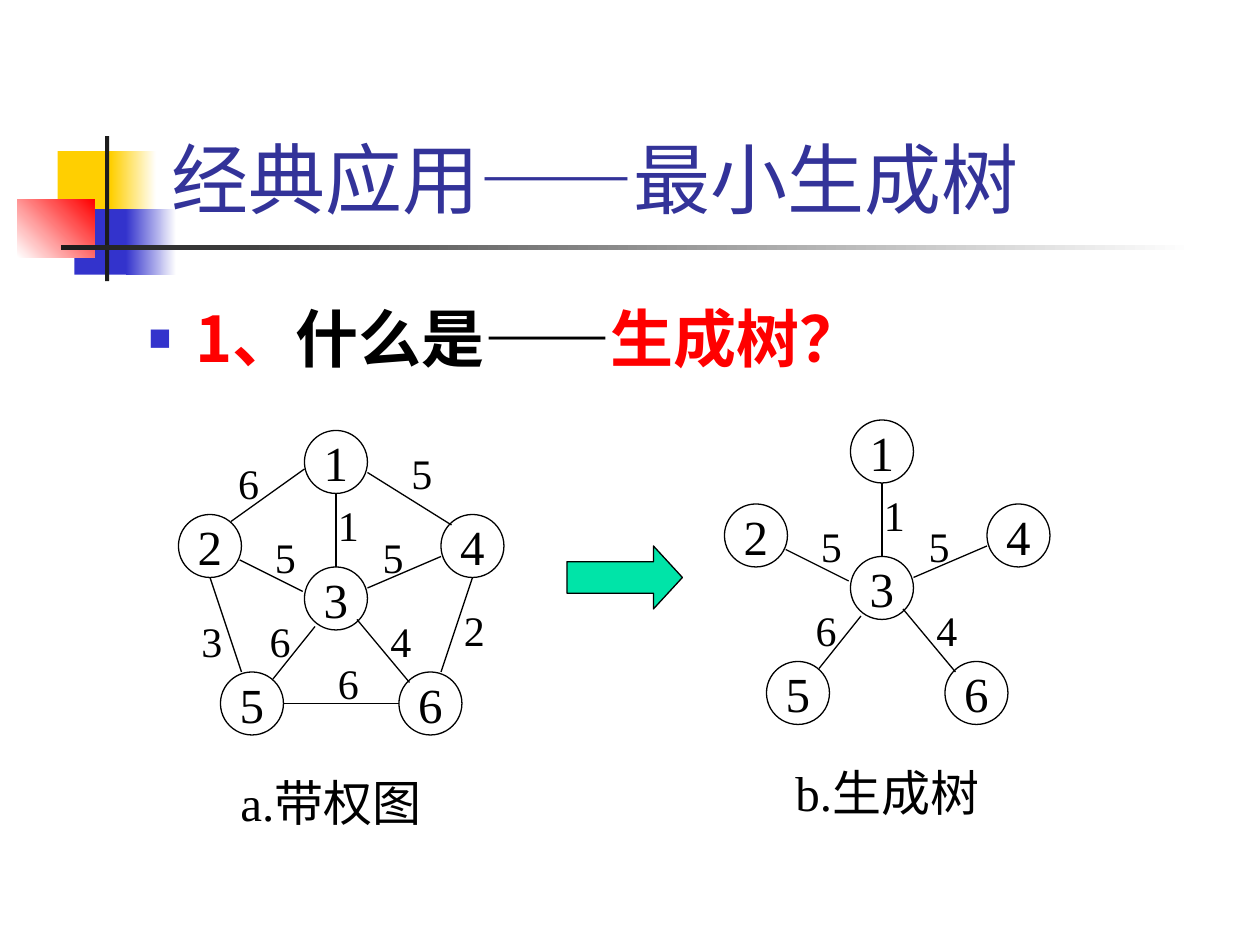
from typing import NamedTuple

from lxml import etree
from pptx import Presentation
from pptx.dml.color import RGBColor
from pptx.enum.shapes import MSO_CONNECTOR, MSO_SHAPE
from pptx.enum.text import MSO_ANCHOR, MSO_AUTO_SIZE, PP_ALIGN
from pptx.oxml.ns import qn
from pptx.util import Pt

RECTANGLE, OVAL, ARROW = MSO_SHAPE.RECTANGLE, MSO_SHAPE.OVAL, MSO_SHAPE.RIGHT_ARROW
STRAIGHT = MSO_CONNECTOR.STRAIGHT
MIDDLE, BOTTOM = MSO_ANCHOR.MIDDLE, MSO_ANCHOR.BOTTOM
LEFT, CENTER = PP_ALIGN.LEFT, PP_ALIGN.CENTER
NO_FIT, GROW = MSO_AUTO_SIZE.NONE, MSO_AUTO_SIZE.SHAPE_TO_FIT_TEXT

COLORS = {
    "black": "000000", "white": "FFFFFF", "ink": "1C1C1C", "yellow": "FFCF01",
    "blue": "3333CC", "red": "FF0000", "title": "333399", "green": "00E4A8",
}
CJK_FONT, SERIF = "Noto Sans CJK SC", "Times New Roman"
NODE_SIZE, LINE_WIDTH = 36, 0.75


class Block(NamedTuple):
    """Decorative rectangle, fading when it has an end colour."""
    left: float
    top: float
    width: float
    height: float
    start: str
    end: str = ""
    angle: float = 0


class Edge(NamedTuple):
    nodes: tuple
    begin: tuple
    end: tuple
    weight: str
    label: tuple


BLOCKS = [
    Block(33, 86.4, 34.6, 37.4, "yellow"),
    Block(63.4, 86.4, 25.9, 37.4, "yellow", "white"),
    Block(42.5, 119.5, 33.1, 37.4, "blue"),
    Block(72, 119.5, 28.8, 37.4, "blue", "white"),
    Block(10, 113.8, 44, 33.1, "white", "red", 45),
    Block(60, 77.8, 2.4, 82.8, "ink"),
    Block(34.6, 140.2, 648, 2.5, "ink", "white"),
]
NODES = {"5": (126, 384), "6": (228, 384), "4": (252, 294),
         "2": (102, 294), "3": (174, 324), "1": (174, 246)}
EDGES = [
    Edge((1, 2), (132, 298), (174, 268), "6", (129, 258)),
    Edge((3, 5), (156, 388), (180, 358), "6", (147, 348)),
    Edge((3, 4), (210, 336), (252, 318), "5", (211.5, 300)),
    Edge((2, 3), (137, 320), (173, 338), "5", (150, 300)),
    Edge((1, 4), (210, 270), (258, 300), "5", (228, 252)),
    Edge((4, 6), (252, 384), (270, 330), "2", (258, 342)),
    Edge((2, 5), (138, 384), (120, 330), "3", (108, 348)),
    Edge((5, 6), (162, 402), (228, 402), "6", (186, 372)),
    Edge((1, 3), (192, 324), (192, 282), "1", (186, 282)),
    Edge((3, 6), (204, 354), (234, 390), "4", (216, 348)),
]
# In the spanning tree every edge meets the centre node.
TREE_EDGES = [edge for edge in EDGES if 3 in edge.nodes]
TREE_SHIFT = (312, -6)


def color(name: str) -> RGBColor:
    return RGBColor.from_string(COLORS[name])


def set_frame(frame, **values) -> None:
    for name, value in values.items():
        setattr(frame, name, value)


def add_span(para, text: str, size: float, font: str, ink: str = "black", bold: bool = False) -> None:
    span = para.add_run()
    span.text = text
    for name, value in {"size": Pt(size), "name": font, "bold": bold}.items():
        setattr(span.font, name, value)
    span.font.color.rgb = color(ink)
    east_asian = etree.Element(qn("a:ea"), typeface=CJK_FONT)
    span.font._element.find(qn("a:latin")).addnext(east_asian)


def add_shape(page, kind, left: float, top: float, width: float, height: float):
    shape = page.shapes.add_shape(kind, Pt(left), Pt(top), Pt(width), Pt(height))
    shape.shadow.inherit = False
    return shape


def outline(line) -> None:
    line.color.rgb = color("black")
    line.width = Pt(LINE_WIDTH)


def add_block(page, block: Block) -> None:
    shape = add_shape(page, RECTANGLE, *block[:4])
    shape.line.fill.background()
    if not block.end:
        shape.fill.solid()
        shape.fill.fore_color.rgb = color(block.start)
        return
    shape.fill.gradient()
    shape.fill.gradient_angle = block.angle
    for stop, name in zip(shape.fill.gradient_stops, (block.start, block.end)):
        stop.color.rgb = color(name)


def add_label(page, text: str, left: float, top: float, width: float, height: float, size: float) -> None:
    box = page.shapes.add_textbox(Pt(left), Pt(top), Pt(width), Pt(height))
    set_frame(box.text_frame, word_wrap=True, auto_size=GROW)
    para = box.text_frame.paragraphs[0]
    para.alignment = CENTER
    add_span(para, text, size, SERIF)


def add_node(page, text: str, left: float, top: float) -> None:
    node = add_shape(page, OVAL, left, top, NODE_SIZE, NODE_SIZE)
    node.fill.background()
    outline(node.line)
    set_frame(node.text_frame, word_wrap=False, vertical_anchor=MIDDLE)
    para = node.text_frame.paragraphs[0]
    para.alignment = CENTER
    add_span(para, text, 28, SERIF)


def add_graph(page, edges: list, shift: tuple = (0, 0)) -> None:
    def place(point: tuple) -> tuple:
        return point[0] + shift[0], point[1] + shift[1]

    for text, corner in NODES.items():
        add_node(page, text, *place(corner))
    for edge in edges:
        ends = [Pt(value) for value in place(edge.begin) + place(edge.end)]
        line = page.shapes.add_connector(STRAIGHT, *ends)
        outline(line.line)
        etree.SubElement(line._element.spPr, qn("a:effectLst"))
        add_label(page, edge.weight, *place(edge.label), 24, 36, 24)


def add_title(page) -> None:
    title = page.shapes.title
    for name, value in {"left": 90.7, "top": 16.6, "width": 613.4, "height": 115.2}.items():
        setattr(title, name, Pt(value))
    set_frame(title.text_frame, word_wrap=True, auto_size=NO_FIT, vertical_anchor=BOTTOM)
    para = title.text_frame.paragraphs[0]
    para.alignment = LEFT
    add_span(para, "经典应用——最小生成树", 44, "Arial", "title")
    page.shapes[-1].element.addnext(title.element)  # in front of the blocks


def add_question(page) -> None:
    box = page.shapes.add_textbox(Pt(77.8), Pt(167.8), Pt(468), Pt(60))
    box.text_frame.word_wrap = True
    para = box.text_frame.paragraphs[0]
    for text, ink in (("1、", "red"), ("什么是——", "black"), ("生成树？", "red")):
        add_span(para, text, 36, CJK_FONT, ink, bold=True)
    # Square bullet with a hanging indent
    settings = para._p.get_or_add_pPr()
    settings.set("marL", str(Pt(27)))
    settings.set("indent", str(Pt(-27)))
    bullet_color = etree.SubElement(settings, qn("a:buClr"))
    etree.SubElement(bullet_color, qn("a:srgbClr"), val=COLORS["blue"])
    etree.SubElement(settings, qn("a:buSzPct"), val="60000")
    etree.SubElement(settings, qn("a:buFont"), typeface="Arial")
    etree.SubElement(settings, qn("a:buChar"), char="■")


def add_arrow(page) -> None:
    arrow = add_shape(page, ARROW, 324, 312, 66, 36)
    arrow.adjustments[0], arrow.adjustments[1] = 0.5, 0.46
    arrow.fill.solid()
    arrow.fill.fore_color.rgb = color("green")
    outline(arrow.line)


def main() -> None:
    deck = Presentation()
    deck.slide_width, deck.slide_height = Pt(720), Pt(540)
    page = deck.slides.add_slide(deck.slide_layouts[5])

    # Decoration and headings
    for block in BLOCKS:
        add_block(page, block)
    add_title(page)
    add_question(page)

    # Weighted graph, then its spanning tree
    add_graph(page, EDGES)
    add_graph(page, TREE_EDGES, TREE_SHIFT)
    add_arrow(page)
    add_label(page, "a.带权图", 120, 438, 138, 41, 28)
    add_label(page, "b.生成树", 438, 432, 138, 41, 28)
    deck.save("out.pptx")


if __name__ == "__main__":
    main()
